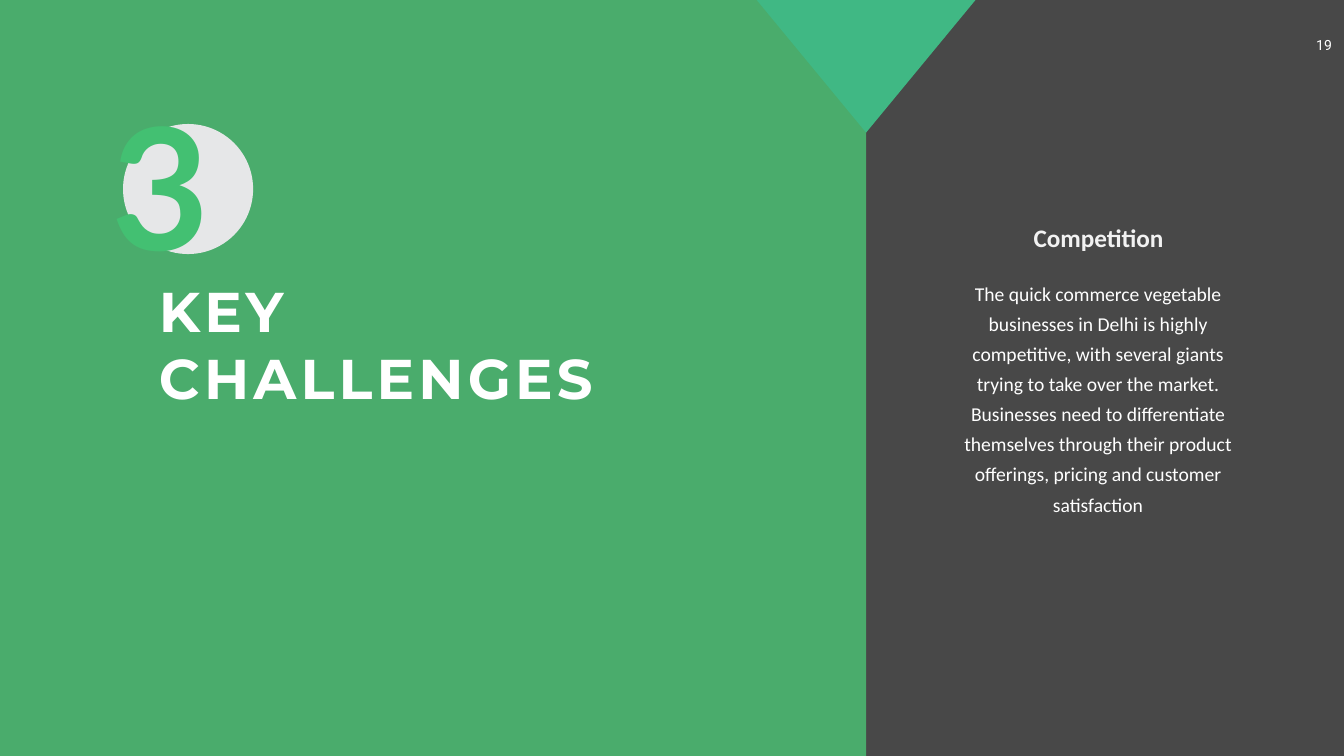
from pptx import Presentation
from pptx.dml.color import RGBColor
from pptx.enum import shapes, text
from pptx.oxml.ns import qn
from pptx.util import Pt

BODY = (
    "The quick commerce vegetable businesses in Delhi is highly competitive, "
    "with several giants trying to take over the market. Businesses need to "
    "differentiate themselves through their product offerings, pricing and "
    "customer satisfaction"
)


def paint(color_format, color):
    color_format.rgb = RGBColor.from_string(color)


def add_block(slide, preset, box, color, rotation=0):
    block = slide.shapes.add_shape(preset, *map(Pt, box))
    block.shadow.inherit = False
    block.rotation = rotation
    block.fill.solid()
    paint(block.fill.fore_color, color)
    block.line.fill.background()
    return block


def set_opacity(block, percent):
    tint = block.element.spPr.find(qn("a:solidFill"))[0]
    tint.makeelement(qn("a:alpha"), {})
    alpha = tint.makeelement(qn("a:alpha"), {"val": str(percent * 1000)})
    tint.append(alpha)


def write(holder, words, font, size, color, bold=False, centred=False, leading=None):
    frame = holder.text_frame
    frame.text = words
    frame.word_wrap = True
    frame.auto_size = text.MSO_AUTO_SIZE.NONE
    frame.vertical_anchor = text.MSO_ANCHOR.TOP
    line = frame.paragraphs[0]
    line.alignment = text.PP_ALIGN.CENTER if centred else text.PP_ALIGN.LEFT
    if leading:
        line.line_spacing = Pt(leading)
    run = line.runs[0]
    run.font.name = font
    run.font.size = Pt(size)
    run.font.bold = bold
    paint(run.font.color, color)
    return run


def add_words(slide, box, *args, **kwargs):
    holder = slide.shapes.add_textbox(*map(Pt, box))
    write(holder, *args, **kwargs)


def place_title(slide, box, words, tracking):
    title = slide.shapes.title
    title.left, title.top, title.width, title.height = map(Pt, box)
    run = write(title, words, "Montserrat", 80, "FFFFFF", bold=True)
    run.font._element.set("spc", str(tracking * 100))
    slide.shapes[-1].element.addnext(title.element)


def main():
    deck = Presentation()
    deck.slide_width, deck.slide_height = Pt(1919.52), Pt(1080)
    slide = deck.slides.add_slide(deck.slide_layouts[5])
    slide.background.fill.solid()
    paint(slide.background.fill.fore_color, "484848")

    preset = shapes.MSO_SHAPE
    panel = add_block(slide, preset.RECTANGLE, (0, 0, 1237, 1082), "4BC676")
    set_opacity(panel, 80)
    place_title(slide, (219.6, 391.7, 834.5, 200.9), "KEY CHALLENGES", 6)
    add_block(slide, preset.ISOSCELES_TRIANGLE, (1080.7, 0, 312.5, 189.4), "40B884", 180)

    add_words(slide, (1858, 48.2, 66, 38.9), "19", "Roboto", 20, "FFFFFF", centred=True)
    add_words(slide, (1393.2, 313.9, 351.4, 51.1), "Competition", "Calibri", 36,
              "F2F2F2", bold=True, centred=True)
    add_words(slide, (1350.7, 389.5, 434.9, 351.4), BODY, "Calibri", 28, "FFFFFF",
              centred=True, leading=43)

    add_block(slide, preset.OVAL, (175.7, 177.1, 185.8, 185.8), "E6E7E8")
    add_words(slide, (151.9, 112.3, 115.9, 300.2), "3", "Lato", 242, "43C072", bold=True)
    deck.save("out.pptx")


if __name__ == "__main__":
    main()
